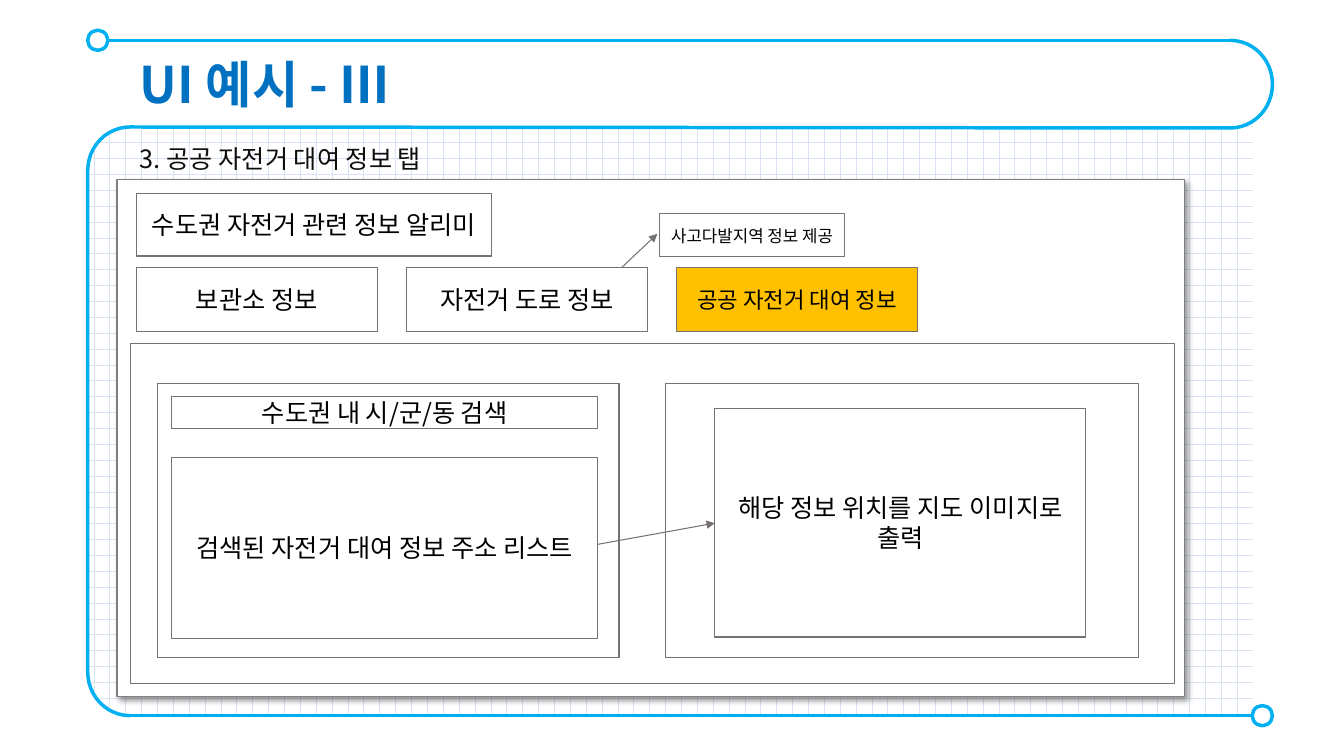
from lxml.etree import SubElement as Sub
from pptx import Presentation
from pptx.dml.color import RGBColor as RGB
from pptx.enum.dml import MSO_PATTERN as PAT
from pptx.enum.shapes import MSO_CONNECTOR as CON, MSO_SHAPE as GEO
from pptx.enum.text import MSO_ANCHOR as ANC, PP_ALIGN as AL
from pptx.oxml import parse_xml
from pptx.oxml.ns import nsdecls, qn
from pptx.util import Inches, Pt

SKY = RGB(0x00, 0xB0, 0xF0)
BLUE = RGB(0x00, 0x70, 0xC0)
PALE = RGB(0xDA, 0xE3, 0xF3)
WHITE = RGB(0xFF, 0xFF, 0xFF)
GOLD = RGB(0xFF, 0xC0, 0x00)
GRAY = RGB(0x76, 0x71, 0x71)
EDGE = RGB(0x80, 0x80, 0x80)
INK = RGB(0x0D, 0x0D, 0x0D)
BLACK = RGB(0, 0, 0)
FONT = "Noto Sans CJK KR"

deck = Presentation()
deck.slide_width, deck.slide_height = Inches(13.33), Inches(7.5)
slide = deck.slides.add_slide(deck.slide_layouts[6])
shapes = slide.shapes


def write(shape, text, size=18, color=BLACK, bold=False, align=AL.CENTER,
          anchor=ANC.MIDDLE, space=1.0, inset=0.05):
    frame = shape.text_frame
    frame.word_wrap = True
    frame.vertical_anchor = anchor
    frame.margin_left = frame.margin_right = Inches(inset)
    para = frame.paragraphs[0]
    para.alignment, para.line_spacing = align, space
    run = para.add_run()
    run.text = text
    font = run.font
    font.size, font.bold, font.name = Pt(size), bold, FONT
    font.color.rgb = color
    Sub(font._element, qn("a:ea"), typeface=FONT)


def draw(geo, area, fill=None, line=GRAY, width=0.75):
    shape = shapes.add_shape(geo, *map(Inches, area))
    shape.shadow.inherit = False
    if fill is None:
        shape.fill.background()
    else:
        shape.fill.solid()
        shape.fill.fore_color.rgb = fill
    if line is None:
        shape.line.fill.background()
    else:
        shape.line.color.rgb = line
        shape.line.width = Pt(width)
    return shape


grid = draw(GEO.ROUND_2_SAME_RECTANGLE, (3.73, -1.6, 5.84, 11.55), line=None)
grid.rotation = 270
grid.adjustments[0] = 0.08
grid.fill.patterned()
grid.fill.pattern = PAT.DOTTED_GRID
grid.fill.fore_color.rgb = PALE
grid.fill.back_color.rgb = WHITE

for area, turn in [((12.2, 0.4, 0.42, 0.87), 180), ((0.87, 1.26, 0.42, 5.84), 0)]:
    curve = draw(GEO.LEFT_BRACKET, area, line=SKY, width=2.5)
    curve.adjustments[0] = 1.03
    curve.rotation = turn

links = [
    (1.07, 0.4, 12.2, 0.4, SKY, 2.5, False),
    (1.29, 1.26, 12.2, 1.27, SKY, 2.5, False),
    (1.29, 7.1, 12.42, 7.1, SKY, 2.5, False),
    (5.93, 5.4, 7.09, 5.19, GRAY, 0.75, True),
    (6.17, 2.65, 6.52, 2.32, GRAY, 0.75, True),
]

panel = draw(GEO.RECTANGLE, (1.16, 1.78, 10.59, 5.13), WHITE, EDGE, 1)
props = panel._element.spPr
props.remove(props.find(qn("a:effectLst")))
props.append(parse_xml(
    f'<a:effectLst {nsdecls("a")}><a:outerShdw blurRad="{Pt(4)}" dist="{Pt(3)}" '
    'dir="2700000" algn="tl" rotWithShape="0"><a:srgbClr val="000000">'
    '<a:alpha val="40000"/></a:srgbClr></a:outerShdw></a:effectLst>'))

for *ends, color, width, arrow in links:
    link = shapes.add_connector(CON.STRAIGHT, *map(Inches, ends))
    link.line.color.rgb = color
    link.line.width = Pt(width)
    if arrow:
        Sub(link.line._get_or_add_ln(), qn("a:tailEnd"), type="triangle")
    Sub(link._element.spPr, qn("a:effectLst"))

for left, top in [(0.87, 0.3), (12.42, 7)]:
    knob = draw(GEO.ROUND_2_SAME_RECTANGLE, (left, top, 0.2, 0.2), WHITE, SKY, 2.5)
    knob.adjustments[0] = knob.adjustments[1] = 0.5

title = shapes.add_textbox(*map(Inches, (1.29, 0.48, 8.3, 0.71)))
write(title, "UI 예시 - Ⅲ", size=36, color=BLUE, bold=True, align=AL.LEFT,
      anchor=ANC.TOP, inset=0.1)
label = shapes.add_textbox(*map(Inches, (1.29, 1.22, 3.3, 0.5)))
write(label, "3. 공공 자전거 대여 정보 탭", color=INK, align=AL.LEFT,
      anchor=ANC.TOP, space=1.5, inset=0.1)

tabs = [("보관소 정보", 18, WHITE), ("자전거 도로 정보", 18, WHITE),
        ("공공 자전거 대여 정보", 16, GOLD)]
for i, (text, size, fill) in enumerate(tabs):
    tab = draw(GEO.RECTANGLE, (1.35 + 2.68 * i, 2.65, 2.39, 0.64), fill)
    write(tab, text, size=size)

boxes = [
    ((1.35, 1.92, 3.53, 0.62), "수도권 자전거 관련 정보 알리미", 18),
    ((6.54, 2.12, 1.84, 0.43), "사고다발지역 정보 제공", 12),
    ((1.29, 3.41, 10.36, 3.37), "", 18),
    ((1.56, 3.8, 4.58, 2.72), "", 18),
    ((6.6, 3.8, 4.69, 2.72), "", 18),
    ((1.7, 3.93, 4.23, 0.32), "수도권 내 시/군/동 검색", 18),
    ((7.09, 4.05, 3.68, 2.27), "해당 정보 위치를 지도 이미지로 출력", 18),
    ((1.7, 4.54, 4.23, 1.79), "검색된 자전거 대여 정보 주소 리스트", 18),
]
for area, text, size in boxes:
    box = draw(GEO.RECTANGLE, area)
    if text:
        write(box, text, size=size)

deck.save("out.pptx")
